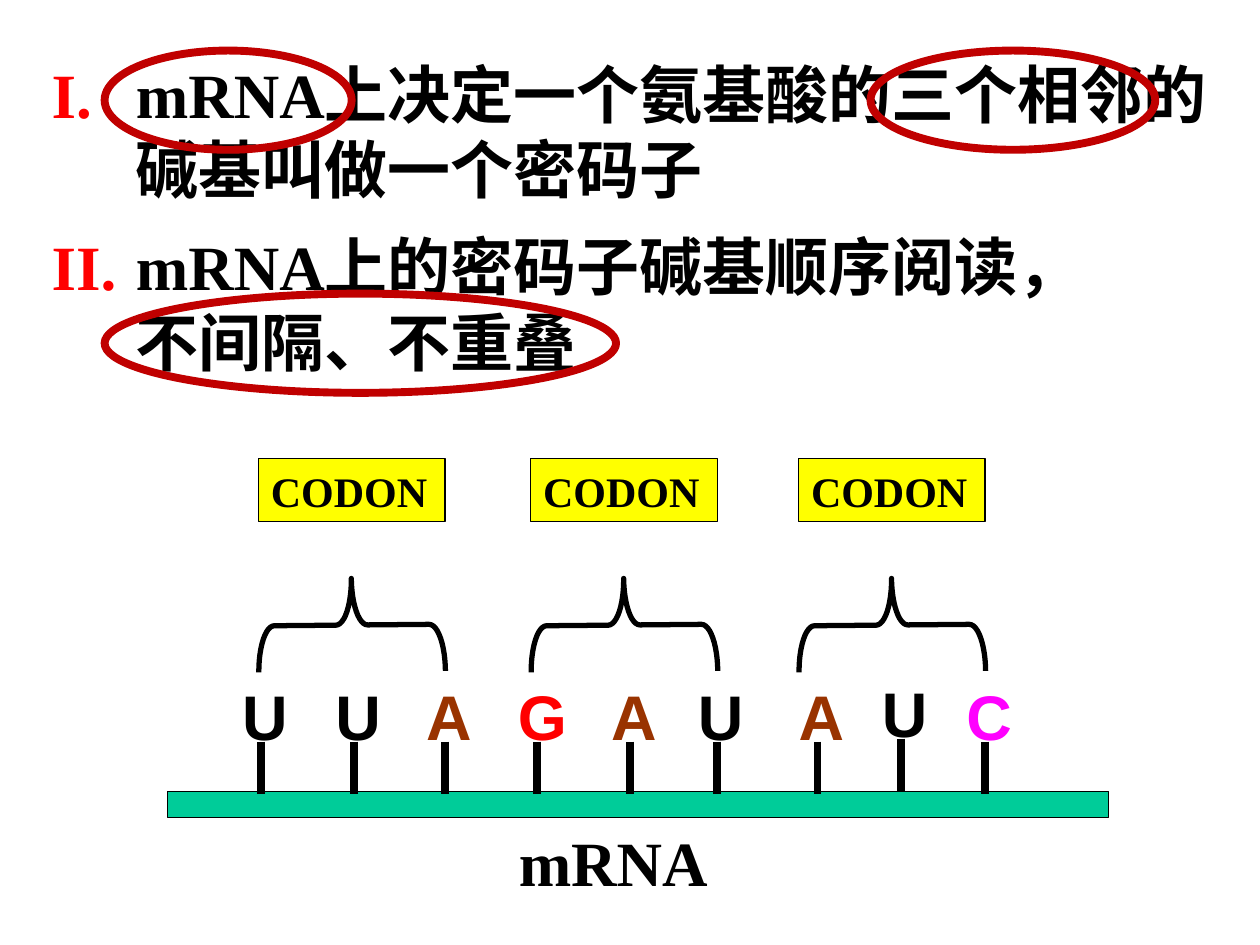
from lxml import etree
from pptx import Presentation
from pptx.dml.color import RGBColor
from pptx.enum.shapes import MSO_CONNECTOR, MSO_SHAPE
from pptx.oxml.ns import qn
from pptx.util import Cm, Pt

COLORS = {
    "black": "000000",
    "red": "FF0000",
    "ring": "C00000",
    "strand": "00CC99",
    "label": "FFFF00",
    "U": "000000",
    "A": "993300",
    "G": "FF0000",
    "C": "FF00FF",
}
SERIF, SANS = "Times New Roman", "Arial"
RULES = [
    "mRNA上决定一个氨基酸的三个相邻的碱基叫做一个密码子",
    "mRNA上的密码子碱基顺序阅读，\v不间隔、不重叠",
]
RINGS = [(2.11, 1.02, 4.98, 2), (17.55, 1.02, 5.74, 2), (2.11, 5.92, 10.31, 2)]
CODON_LEFTS = [5.21, 10.7, 16.1]
BASES = [
    ("U", 1.88), ("U", 3.76), ("A", 5.59), ("G", 7.44), ("A", 9.32),
    ("U", 11.07), ("A", 13.1), ("U", 14.78), ("C", 16.48),
]


def color(name):
    """Return the named colour."""
    return RGBColor.from_string(COLORS[name])


def style_paragraph(paragraph, text, size, font_name, color_name):
    """Fill a paragraph with bold text."""
    paragraph.text = text
    font = paragraph.font
    font.size, font.name, font.bold = Pt(size), font_name, True
    font.color.rgb = color(color_name)


def add_text(slide, box, text, size, font_name, color_name):
    """Add a one-line text box."""
    shape = slide.shapes.add_textbox(*map(Cm, box))
    shape.text_frame.word_wrap = True
    style_paragraph(shape.text_frame.paragraphs[0], text, size, font_name, color_name)


def add_outlined(slide, kind, box, line_width, line="black", fill=None):
    """Add a preset shape with an outline and an optional fill."""
    shape = slide.shapes.add_shape(kind, *map(Cm, box))
    shape.shadow.inherit = False
    shape.line.width = Pt(line_width)
    shape.line.color.rgb = color(line)
    if fill:
        shape.fill.solid()
        shape.fill.fore_color.rgb = color(fill)
    else:
        shape.fill.background()
    return shape


def add_rules(slide, box):
    """Add the two rules numbered with red Roman numerals."""
    frame = slide.shapes.add_textbox(*map(Cm, box)).text_frame
    frame.word_wrap = True
    for index, text in enumerate(RULES):
        paragraph = frame.add_paragraph() if index else frame.paragraphs[0]
        properties = paragraph._p.get_or_add_pPr()
        properties.set("marL", str(Cm(1.7)))
        properties.set("indent", str(-Cm(1.7)))
        paragraph.space_before = Pt(6 if index else 0)
        paragraph.space_after = Pt(6)
        bullet_color = etree.SubElement(properties, qn("a:buClr"))
        etree.SubElement(bullet_color, qn("a:srgbClr"), val=COLORS["red"])
        etree.SubElement(properties, qn("a:buFont"), typeface=SERIF)
        etree.SubElement(properties, qn("a:buAutoNum"), type="romanUcPeriod")
        style_paragraph(paragraph, text, 36, SERIF, "black")


def add_base(slide, box, letter):
    """Add a base letter above the tick that ties it to the strand."""
    left, top, width, height = box
    add_text(slide, box, letter, 36, SANS, letter)
    x, y = Cm(left + 0.63), Cm(top + 1.41)
    tick = slide.shapes.add_connector(MSO_CONNECTOR.STRAIGHT, x, y, x, y + Cm(1.05))
    tick.line.width = Pt(4.5)
    tick.line.color.rgb = color("black")
    etree.SubElement(tick._element.spPr, qn("a:effectLst"))


def add_strand(slide, box):
    """Add the mRNA strand with its bases and its name."""
    left, top, width, height = box
    bar = (left, top + 2.41, width, 0.53)
    add_outlined(slide, MSO_SHAPE.RECTANGLE, bar, 0.75, fill="strand")
    for index, (letter, center) in enumerate(BASES):
        lift = 0.06 if index == 7 else 0
        add_base(slide, (left + center - 0.63, top - lift, 1.68, 1.78), letter)
    name_box = (left + 6.83, top + height - 1.78, 4.42, 1.78)
    add_text(slide, name_box, "mRNA", 36, SERIF, "black")


def add_codon(slide, box):
    """Add a codon label with the brace below it."""
    left, top, width, height = box
    label = add_outlined(
        slide, MSO_SHAPE.RECTANGLE, (left, top, width, 1.27), 0.75, fill="label"
    )
    style_paragraph(label.text_frame.paragraphs[0], "CODON", 24, SERIF, "black")
    label.text_frame.word_wrap = True
    label.text_frame.paragraphs[0].alignment = 1
    depth = 1.88
    brace_box = (
        left + (width - depth) / 2,
        top + height - (width + depth) / 2,
        depth,
        width,
    )
    brace = add_outlined(slide, MSO_SHAPE.LEFT_BRACE, brace_box, 3)
    brace.adjustments[0] = 0.17
    brace.rotation = 89.5


def main():
    """Build the codon slide."""
    presentation = Presentation()
    presentation.slide_width, presentation.slide_height = Cm(25.4), Cm(19.05)
    slide = presentation.slides.add_slide(presentation.slide_layouts[6])
    add_rules(slide, (0.79, 0.99, 24, 6.78))
    add_strand(slide, (3.38, 13.54, 18.97, 4.72))
    for left in CODON_LEFTS:
        add_codon(slide, (left, 9.25, 3.76, 4.29))
    for box in RINGS:
        add_outlined(slide, MSO_SHAPE.OVAL, box, 4.5, line="ring")
    presentation.save("out.pptx")


if __name__ == "__main__":
    main()
